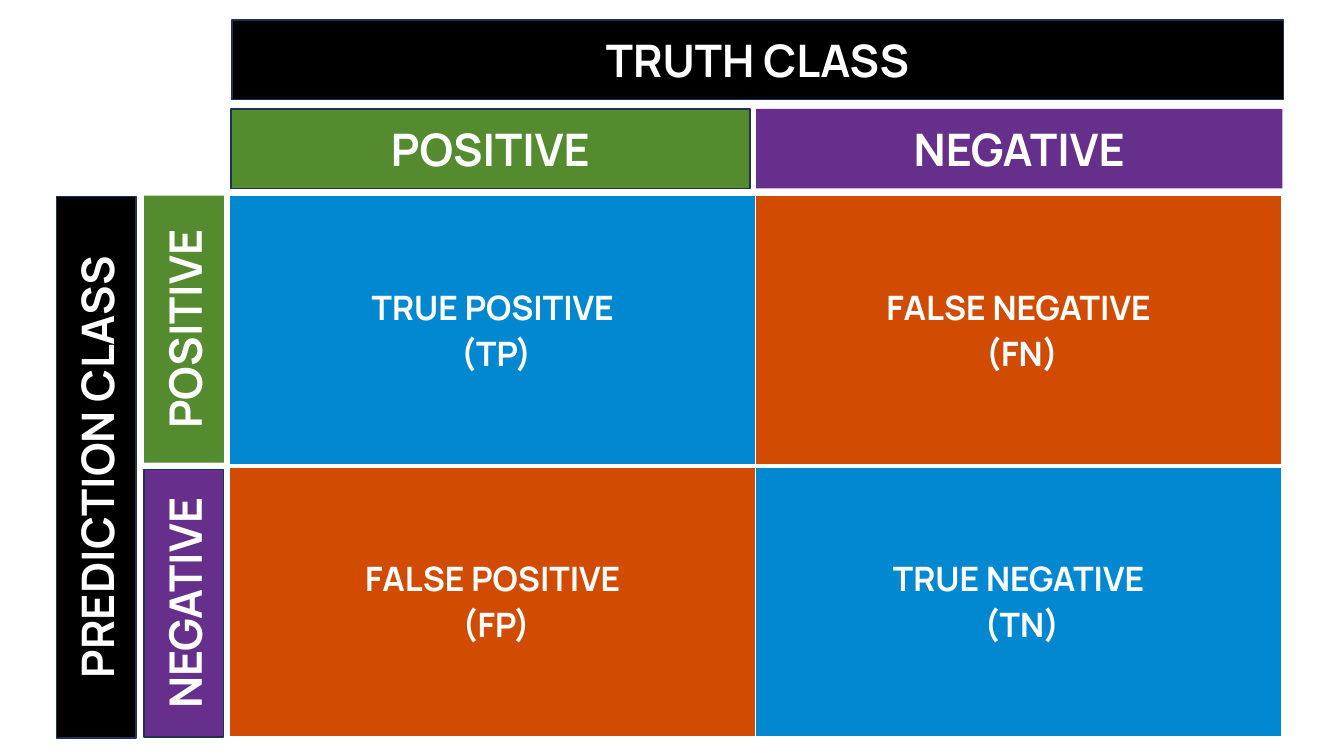
"""Build a confusion matrix slide with truth and prediction banners."""
from dataclasses import dataclass

from lxml.etree import SubElement
from pptx import Presentation
from pptx.dml.color import RGBColor
from pptx.enum.shapes import MSO_SHAPE
from pptx.enum.text import MSO_ANCHOR, PP_ALIGN
from pptx.oxml.ns import qn
from pptx.shapes.shapetree import GroupShapes, SlideShapes
from pptx.table import _Cell
from pptx.text.text import TextFrame
from pptx.util import Inches, Pt

COLORS = {
    "white": "FFFFFF",
    "black": "000000",
    "outline": "1E3256",
    "positive": "558B2F",
    "negative": "652F8B",
    "correct": "0288D1",
    "wrong": "D14B02",
}
BANNER_HEIGHT = 0.79


@dataclass(frozen=True)
class Banner:
    """A class label bar, placed by its unrotated box."""

    text: str
    left: float
    top: float
    width: float
    color: str
    outlined: bool = True
    rotation: int = 0


@dataclass(frozen=True)
class Outcome:
    """One cell of the confusion matrix."""

    name: str
    short: str
    color: str


AXIS_BANNERS = [
    Banner("TRUTH CLASS", 2.3, 0.2, 10.43, "black"),
    Banner("PREDICTION CLASS", -1.73, 4.24, 5.37, "black", rotation=270),
]
PREDICTION_BANNERS = [
    Banner("POSITIVE", 0.5, 2.87, 2.65, "positive", outlined=False, rotation=270),
    Banner("NEGATIVE", 0.5, 5.59, 2.65, "negative", rotation=270),
]
TRUTH_BANNERS = [
    Banner("NEGATIVE", 7.5, 1.08, 5.22, "negative", outlined=False),
    Banner("POSITIVE", 2.29, 1.08, 5.15, "positive"),
]
MATRIX = [
    [Outcome("TRUE POSITIVE", "TP", "correct"), Outcome("FALSE NEGATIVE", "FN", "wrong")],
    [Outcome("FALSE POSITIVE", "FP", "wrong"), Outcome("TRUE NEGATIVE", "TN", "correct")],
]


def rgb(name: str) -> RGBColor:
    """Return the named colour."""
    return RGBColor.from_string(COLORS[name])


def write_text(frame: TextFrame, text: str, *, size: int, color: str = "white",
               font: str = "Manrope", bold: bool = True) -> None:
    """Write centred paragraphs, one for each line of text."""
    frame.text = text
    for para in frame.paragraphs:
        para.alignment = PP_ALIGN.CENTER
        for span in para.runs:
            span.font.name = font
            span.font.size = Pt(size)
            span.font.bold = bold
            span.font.color.rgb = rgb(color)


def draw_banner(shapes: SlideShapes | GroupShapes, banner: Banner) -> None:
    """Draw one class label bar."""
    box = shapes.add_shape(MSO_SHAPE.RECTANGLE, Inches(banner.left), Inches(banner.top),
                           Inches(banner.width), Inches(BANNER_HEIGHT))
    box.rotation = banner.rotation
    box.shadow.inherit = False
    box.fill.solid()
    box.fill.fore_color.rgb = rgb(banner.color)
    if banner.outlined:
        box.line.color.rgb = rgb("outline")
        box.line.width = Pt(1)
    else:
        box.line.fill.background()
    box.text_frame.vertical_anchor = MSO_ANCHOR.MIDDLE
    write_text(box.text_frame, banner.text, size=32)


def set_borders(cell: _Cell, widths: dict[str, int]) -> None:
    """Give the cell white borders with widths in points by side."""
    properties = cell._tc.get_or_add_tcPr()
    for side in ("L", "R", "T", "B"):
        line = SubElement(properties, qn(f"a:ln{side}"), w=str(Pt(widths.get(side, 1))))
        fill = SubElement(line, qn("a:solidFill"))
        SubElement(fill, qn("a:srgbClr"), val=COLORS["white"])


def draw_matrix(shapes: SlideShapes) -> None:
    """Draw the table of prediction outcomes."""
    table = shapes.add_table(len(MATRIX), len(MATRIX[0]), Inches(2.28), Inches(1.94),
                             Inches(10.43), Inches(5.37)).table
    table.first_row = False
    table.horz_banding = False
    for row, outcomes in enumerate(MATRIX):
        for column, outcome in enumerate(outcomes):
            cell = table.cell(row, column)
            set_borders(cell, {"B": 3} if row == 0 else {"T": 3})
            cell.fill.solid()
            cell.fill.fore_color.rgb = rgb(outcome.color)
            cell.vertical_anchor = MSO_ANCHOR.MIDDLE
            write_text(cell.text_frame, f"{outcome.name}\n ({outcome.short})", size=24)


def main() -> None:
    """Build and save the deck."""
    deck = Presentation()
    deck.slide_width = Inches(13.33)
    deck.slide_height = Inches(7.5)
    page = deck.slides.add_slide(deck.slide_layouts.get_by_name("Blank"))
    draw_matrix(page.shapes)
    for banner in AXIS_BANNERS:
        draw_banner(page.shapes, banner)
    for banners in (PREDICTION_BANNERS, TRUTH_BANNERS):
        group = page.shapes.add_group_shape()
        for banner in banners:
            draw_banner(group.shapes, banner)
    deck.save("out.pptx")


if __name__ == "__main__":
    main()
